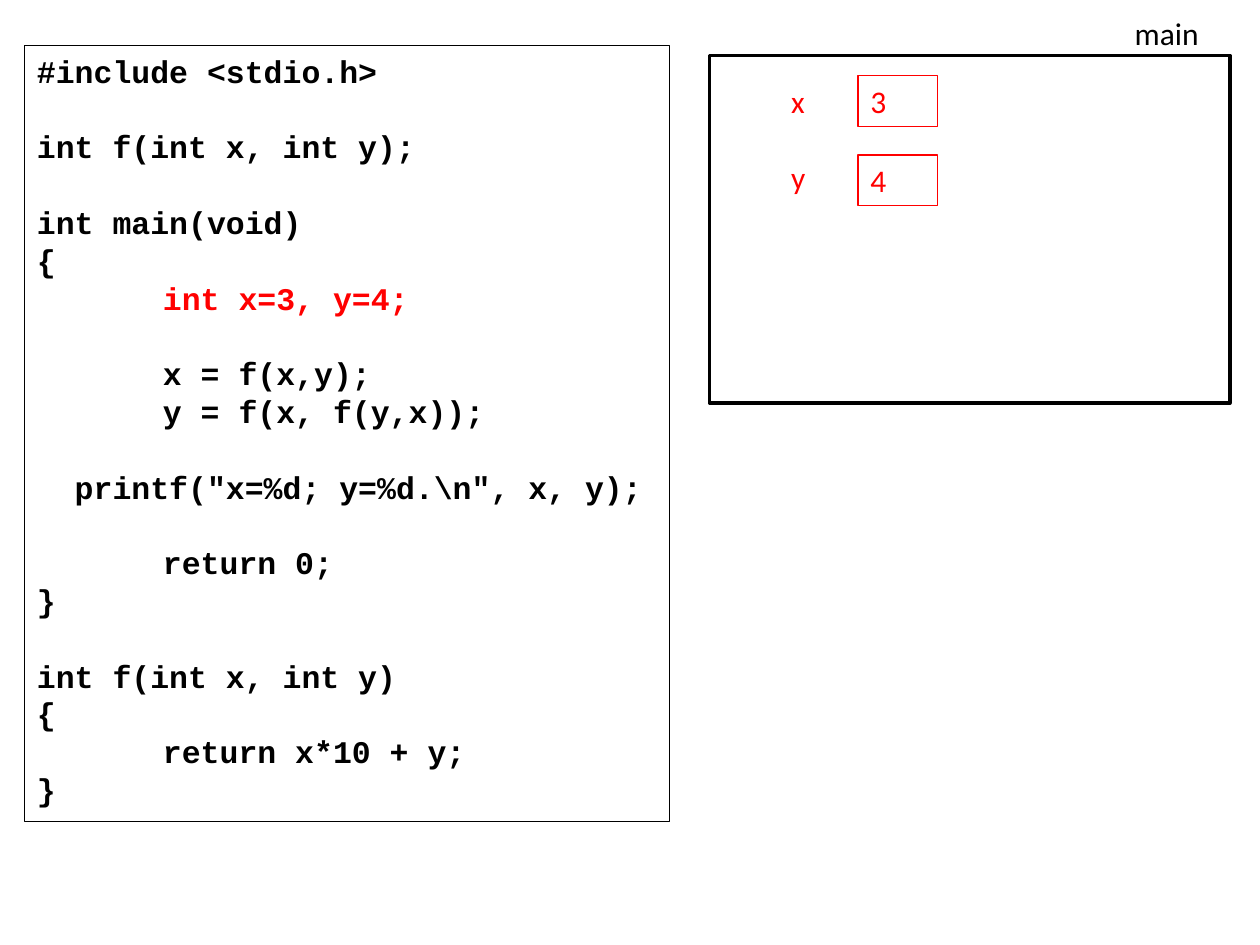
"""Build a slide that traces a C program beside the memory of main."""
from lxml.etree import SubElement
from pptx import Presentation
from pptx.dml.color import RGBColor as Color
from pptx.enum.shapes import MSO_SHAPE as Shape
from pptx.enum.text import MSO_ANCHOR as Anchor, PP_ALIGN as Align
from pptx.oxml.ns import qn
from pptx.util import Pt

THEME = {
    "ink": Color(0, 0, 0), "active": Color(255, 0, 0), "paper": Color(255, 255, 255),
    "code": {"name": "Courier New", "size": Pt(18), "bold": True},
    "label": {"name": "Calibri", "size": Pt(18), "bold": False},
    "thin": Pt(0.75), "thick": Pt(2),
    "code_pitch": Pt(21.6), "label_gap": Pt(22), "tab_stops": (Pt(22.5), Pt(72)),
}
CODE_BLOCKS = [
    ["#include <stdio.h>"],
    ["int f(int x, int y);"],
    ["int main(void)", "{", "\t\tint x=3, y=4;"],
    ["\t\tx = f(x,y);", "\t\ty = f(x, f(y,x));"],
    ["  printf(″x=%d; y=%d.\\n″, x, y);"],
    ["\t\treturn 0;", "}"],
    ["int f(int x, int y)", "{", "\t\treturn x*10 + y;", "}"],
]
ACTIVE_LINE = "\t\tint x=3, y=4;"
VARIABLES = {"x": "3", "y": "4"}

CODE_AREA = (14, 26.1, 368.6, 443.5)
FRAME_AREA = (405.4, 31.7, 297.4, 198.7)
FRAME_NAME_AREA = (641.3, 4.3, 56.9, 28.8)
NAMES_AREA = (445, 43.2, 36.7, 72.7)
VALUE_LEFT, VALUE_TOP, VALUE_WIDTH, VALUE_HEIGHT, VALUE_STEP = 490.3, 43.2, 45.4, 29, 45.3


def add_box(slide, area, line, width, fill=None):
    box = slide.shapes.add_shape(Shape.RECTANGLE, *map(Pt, area))
    box.shadow.inherit = False
    if fill is None:
        box.fill.background()
    else:
        box.fill.solid()
        box.fill.fore_color.rgb = fill
    box.line.color.rgb = line
    box.line.width = width
    return box


def add_label(slide, area):
    return slide.shapes.add_textbox(*map(Pt, area))


def write_lines(box, lines, font, color):
    frame = box.text_frame
    frame.word_wrap = True
    frame.vertical_anchor = Anchor.TOP
    paras = []
    for number, line in enumerate(lines):
        para = frame.add_paragraph() if number else frame.paragraphs[0]
        para.alignment = Align.LEFT
        span = para.add_run()
        span.text = line
        for key, value in font.items():
            setattr(span.font, key, value)
        span.font.color.rgb = color
        paras.append(para)
    return paras


def add_code(slide):
    box = add_box(slide, CODE_AREA, THEME["ink"], THEME["thin"])
    lines = [line for block in CODE_BLOCKS for line in block]
    starts = {sum(map(len, CODE_BLOCKS[:count])) for count in range(1, len(CODE_BLOCKS))}
    paras = write_lines(box, lines, THEME["code"], THEME["ink"])
    for number, para in enumerate(paras):
        para.line_spacing = THEME["code_pitch"]
        if number in starts:
            para.space_before = THEME["code_pitch"]
        if lines[number] == ACTIVE_LINE:
            para.runs[0].font.color.rgb = THEME["active"]
        stops = SubElement(para._p.get_or_add_pPr(), qn("a:tabLst"))
        for position in THEME["tab_stops"]:
            SubElement(stops, qn("a:tab"), pos=str(position), algn="l")


def add_memory(slide):
    add_box(slide, FRAME_AREA, THEME["ink"], THEME["thick"], THEME["paper"])
    write_lines(add_label(slide, FRAME_NAME_AREA), ["main"], THEME["label"], THEME["ink"])
    names = write_lines(add_label(slide, NAMES_AREA), VARIABLES, THEME["label"], THEME["active"])
    for para in names[1:]:
        para.space_before = THEME["label_gap"]
    for row, value in enumerate(VARIABLES.values()):
        area = (VALUE_LEFT, VALUE_TOP + row * VALUE_STEP, VALUE_WIDTH, VALUE_HEIGHT)
        box = add_box(slide, area, THEME["active"], THEME["thin"])
        write_lines(box, [value], THEME["label"], THEME["active"])


def main():
    deck = Presentation()
    deck.slide_width, deck.slide_height = Pt(720), Pt(540)
    slide = deck.slides.add_slide(deck.slide_layouts[6])
    add_code(slide)
    add_memory(slide)
    deck.save("out.pptx")


if __name__ == "__main__":
    main()
